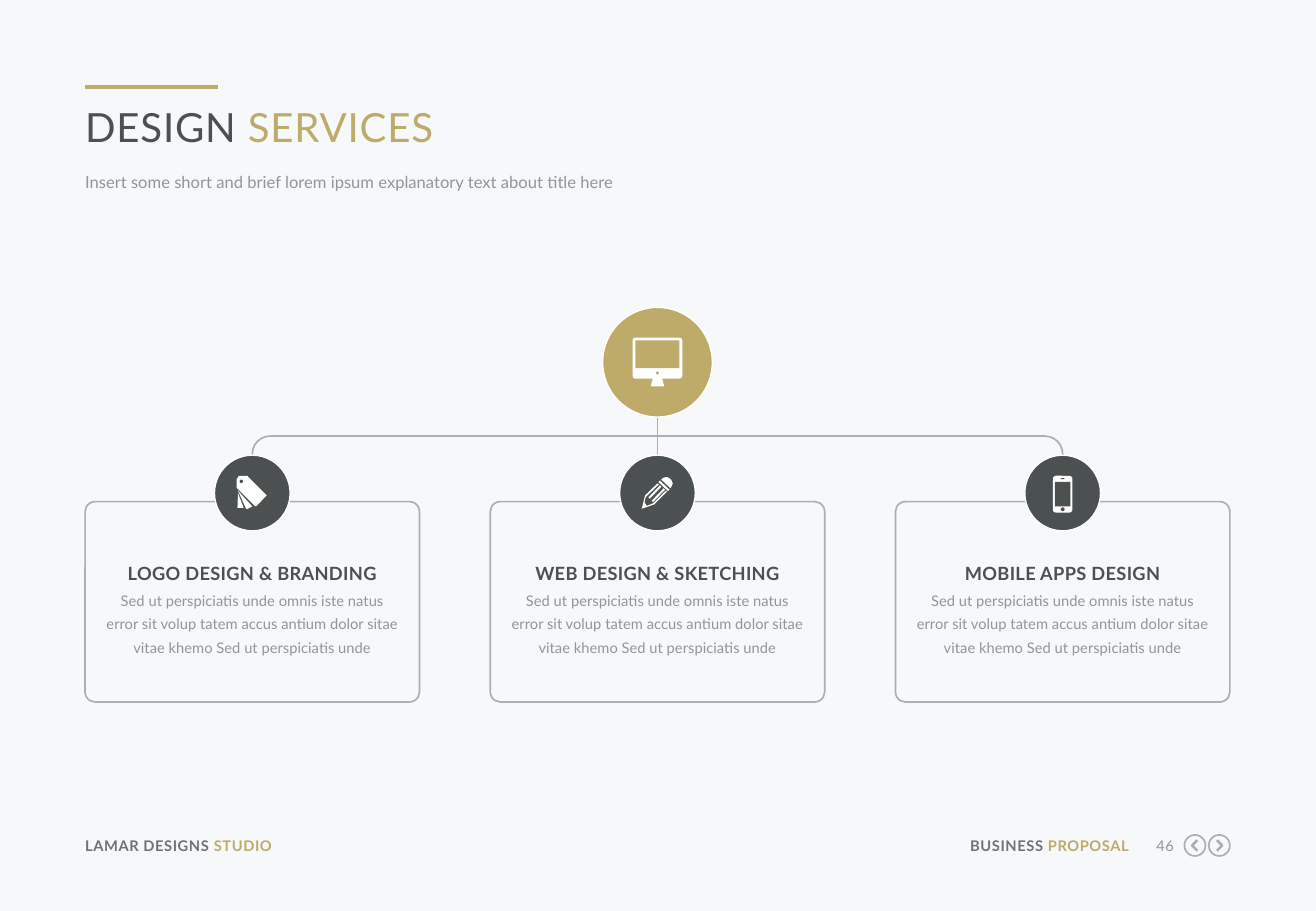
"""Build the design services slide: one hub circle above three service cards."""
import lxml.etree
import pptx
import pptx.dml.color
import pptx.enum.shapes
import pptx.enum.text
import pptx.oxml.ns
import pptx.util

Cm = pptx.util.Cm
Pt = pptx.util.Pt
RGBColor = pptx.dml.color.RGBColor
SHAPE = pptx.enum.shapes.MSO_SHAPE
ALIGN = pptx.enum.text.PP_ALIGN
qn = pptx.oxml.ns.qn

PAPER = RGBColor(0xF6, 0xF8, 0xFA)
GOLD = RGBColor(0xBE, 0xAA, 0x69)
DARK = RGBColor(0x4B, 0x50, 0x50)
SLATE = RGBColor(0x6E, 0x73, 0x78)
GREY = RGBColor(0x91, 0x96, 0x9B)
RULE = RGBColor(0xAA, 0xAF, 0xB4)
WHITE = RGBColor(0xFF, 0xFF, 0xFF)

MARGIN = 1.78
CARD_WIDTH, CARD_HEIGHT, CARD_TOP, CARD_PITCH = 6.99, 4.19, 10.49, 8.47
CENTRES = [MARGIN + CARD_WIDTH / 2 + CARD_PITCH * column for column in range(3)]
LEFT_X, HUB_X, RIGHT_X = CENTRES
BADGE_Y, BRANCH_Y, BEND = 10.31, 9.12, 0.37
NAV_Y = 17.68
BLURB = ("Sed ut perspiciatis unde omnis iste natus error sit volup tatem accus "
         "antium dolor sitae vitae khemo Sed ut perspiciatis unde")


def draw(kind, centre_x, top, width, height, fill=None, line=None, weight=1):
    shape = page.shapes.add_shape(
        kind, Cm(centre_x - width / 2), Cm(top), Cm(width), Cm(height))
    shape.shadow.inherit = False
    if fill is None:
        shape.fill.background()
    else:
        shape.fill.solid()
        shape.fill.fore_color.rgb = fill
    if line is None:
        shape.line.fill.background()
    else:
        shape.line.color.rgb = line
        shape.line.width = Pt(weight)
    return shape


def write(box, spans, size, bold=False, tracking=0, align=ALIGN.LEFT, leading=None, after=0):
    frame = box.text_frame
    frame.word_wrap = True
    frame.vertical_anchor = pptx.enum.text.MSO_ANCHOR.TOP
    frame.margin_left = frame.margin_right = frame.margin_top = frame.margin_bottom = 0
    para = frame.paragraphs[0]
    para.alignment = align
    para.space_before = Pt(0)
    para.space_after = Pt(after)
    if leading:
        para.line_spacing = Pt(leading)
    for words, color in spans:
        span = para.add_run()
        span.text = words
        span.font.name = "Lato"
        span.font.size = Pt(size)
        span.font.bold = bold
        span.font.color.rgb = color
        span._r.get_or_add_rPr().set("spc", str(tracking))
    return para


deck = pptx.Presentation()
deck.slide_width = Cm(27.51)
deck.slide_height = Cm(19.05)
page = deck.slides.add_slide(deck.slide_layouts[1])
page.background.fill.solid()
page.background.fill.fore_color.rgb = PAPER

title, subtitle = page.placeholders
for box, top, height in [(title, 2.13, 1.04), (subtitle, 3.56, 0.53)]:
    box.left, box.top, box.width, box.height = Cm(MARGIN), Cm(top), Cm(23.93), Cm(height)
    box.text_frame.auto_size = pptx.enum.text.MSO_AUTO_SIZE.NONE
write(title, [("DESIGN", DARK), (" SERVICES", GOLD)], 23.8, tracking=50)
para = write(subtitle, [("Insert some short and brief lorem ipsum explanatory text about title here", GREY)],
             9.8, leading=13)
properties = para._p.get_or_add_pPr()
properties.set("marL", "0")
properties.set("indent", "0")
lxml.etree.SubElement(properties, qn("a:buNone"))

for start_x, start_y, end_x, end_y, color, weight in [
    (MARGIN, 1.82, 4.55, 1.82, GOLD, 2.25),
    (LEFT_X + BEND, BRANCH_Y, RIGHT_X - BEND, BRANCH_Y, RULE, 1),
    (LEFT_X, BRANCH_Y + BEND, LEFT_X, 9.63, RULE, 1),
    (HUB_X, 8.71, HUB_X, 9.53, RULE, 1),
    (RIGHT_X, BRANCH_Y + BEND, RIGHT_X, 9.63, RULE, 1),
]:
    link = page.shapes.add_connector(pptx.enum.shapes.MSO_CONNECTOR.STRAIGHT,
                                     Cm(start_x), Cm(start_y), Cm(end_x), Cm(end_y))
    link.line.color.rgb = color
    link.line.width = Pt(weight)
    lxml.etree.SubElement(link._element.spPr, qn("a:effectLst"))

for centre_x, start_angle, end_angle in [(LEFT_X + BEND, 108, 162), (RIGHT_X - BEND, 162, 0)]:
    bend = draw(SHAPE.ARC, centre_x, BRANCH_Y, 2 * BEND, 2 * BEND, line=RULE)
    bend.adjustments[0] = start_angle
    bend.adjustments[1] = end_angle

texts = [
    (MARGIN, 17.5, 5.36, 0.38, [("LAMAR DESIGNS ", SLATE), ("STUDIO", GOLD)], (8.7, True, 30)),
    (20.12, 17.5, 3.48, 0.38, [("BUSINESS ", SLATE), ("PROPOSAL", GOLD)], (8.7, True, 30, ALIGN.RIGHT)),
    (23.9, 17.5, 0.64, 0.38, [("46", GREY)], (8.7, False, 30, ALIGN.RIGHT)),
]
services = ["LOGO DESIGN & BRANDING", "WEB DESIGN & SKETCHING", "MOBILE APPS DESIGN"]
for centre_x, service in zip(CENTRES, services):
    card = draw(SHAPE.ROUNDED_RECTANGLE, centre_x, CARD_TOP, CARD_WIDTH, CARD_HEIGHT, line=RULE)
    card.adjustments[0] = 0.05
    draw(SHAPE.OVAL, centre_x, BADGE_Y - 0.79, 1.58, 1.58, DARK, WHITE, 0.75)
    texts.append((centre_x - 3.06, 11.56, 6.12, 0.64, [(service, DARK)],
                  (10.8, True, 20, ALIGN.CENTER, 18.4, 6.5)))
    texts.append((centre_x - 3.05, 12.24, 6.1, 1.5, [(BLURB, GREY)],
                  (8.7, False, 0, ALIGN.CENTER, 14.1, 6.5)))

for left, top, width, height, spans, style in texts:
    box = page.shapes.add_textbox(Cm(left), Cm(top), Cm(width), Cm(height))
    box.text_frame.auto_size = pptx.enum.text.MSO_AUTO_SIZE.SHAPE_TO_FIT_TEXT
    write(box, spans, *style)

draw(SHAPE.OVAL, HUB_X, 6.43, 2.29, 2.29, GOLD, WHITE, 0.75)
monitor = draw(SHAPE.ROUNDED_RECTANGLE, HUB_X, 7.06, 1.04, 0.86, WHITE)
monitor.adjustments[0] = 0.07
phone = draw(SHAPE.ROUNDED_RECTANGLE, RIGHT_X, 9.95, 0.41, 0.77, WHITE)
phone.adjustments[0] = 0.16

tags = [
    [(-33, -28), (-28, -36), (-10, -36), (-8, -33), (30, 5), (8, 28), (5, 27), (-33, -11)],
    [(-30, -5), (0, 28), (-10, 33), (-13, 33)],
    [(-30, 0), (-18, 31), (-31, 31)],
]
pencil = [
    [(-33, 33), (-26, 5), (0, -20), (3, -18), (-23, 7), (-25, 10), (-27, 20), (-22, 27),
     (-8, 21), (18, -5), (20, -3), (-7, 24)],
    [(-19, 9), (5, -16), (8, -13), (-16, 12)],
    [(-12, 16), (13, -10), (16, -7), (-9, 19)],
    [(2, -23), (5, -26), (25, -7), (22, -4)],
    [(8, -28), (11, -31), (16, -33), (21, -33), (26, -30), (29, -27), (32, -20), (29, -13), (27, -10)],
]
for centre_x, outlines in [(LEFT_X, tags), (HUB_X, pencil)]:
    builder = page.shapes.build_freeform(*outlines[0][0], scale=Cm(0.01))
    builder.add_line_segments(outlines[0][1:])
    for outline in outlines[1:]:
        builder.move_to(*outline[0])
        builder.add_line_segments(outline[1:])
    icon = builder.convert_to_shape(Cm(centre_x), Cm(BADGE_Y))
    icon.shadow.inherit = False
    icon.fill.solid()
    icon.fill.fore_color.rgb = WHITE
    icon.line.fill.background()

for detail in [
    (SHAPE.RECTANGLE, HUB_X, 7.12, 0.92, 0.58, GOLD),
    (SHAPE.OVAL, HUB_X, 7.77, 0.06, 0.06, GOLD),
    (SHAPE.TRAPEZOID, HUB_X, 7.9, 0.28, 0.18, WHITE),
    (SHAPE.RECTANGLE, RIGHT_X, 10.08, 0.33, 0.51, DARK),
    (SHAPE.OVAL, RIGHT_X, 10.61, 0.08, 0.08, DARK),
    (SHAPE.RECTANGLE, RIGHT_X, 10.0, 0.07, 0.02, DARK),
    (SHAPE.OVAL, LEFT_X - 0.23, 10.03, 0.07, 0.07, DARK),
]:
    draw(*detail)

for centre_x, direction in [(24.98, -1), (25.49, 1)]:
    draw(SHAPE.OVAL, centre_x, NAV_Y - 0.22, 0.44, 0.44, line=RULE, weight=1)
    builder = page.shapes.build_freeform(-5 * direction, -11, scale=Cm(0.01))
    builder.add_line_segments([(6 * direction, 0), (-5 * direction, 11)], close=False)
    chevron = builder.convert_to_shape(Cm(centre_x), Cm(NAV_Y))
    chevron.shadow.inherit = False
    chevron.fill.background()
    chevron.line.color.rgb = RULE
    chevron.line.width = Pt(1.5)

deck.save("out.pptx")
